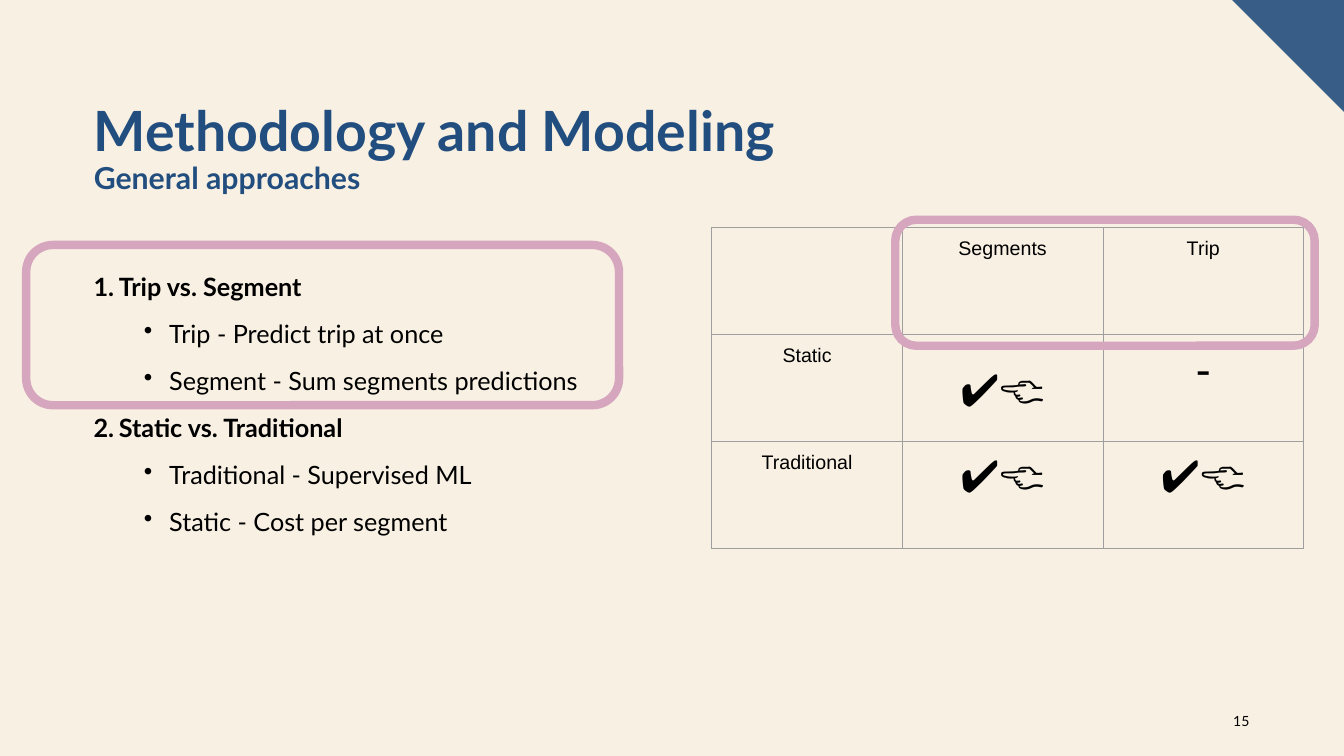
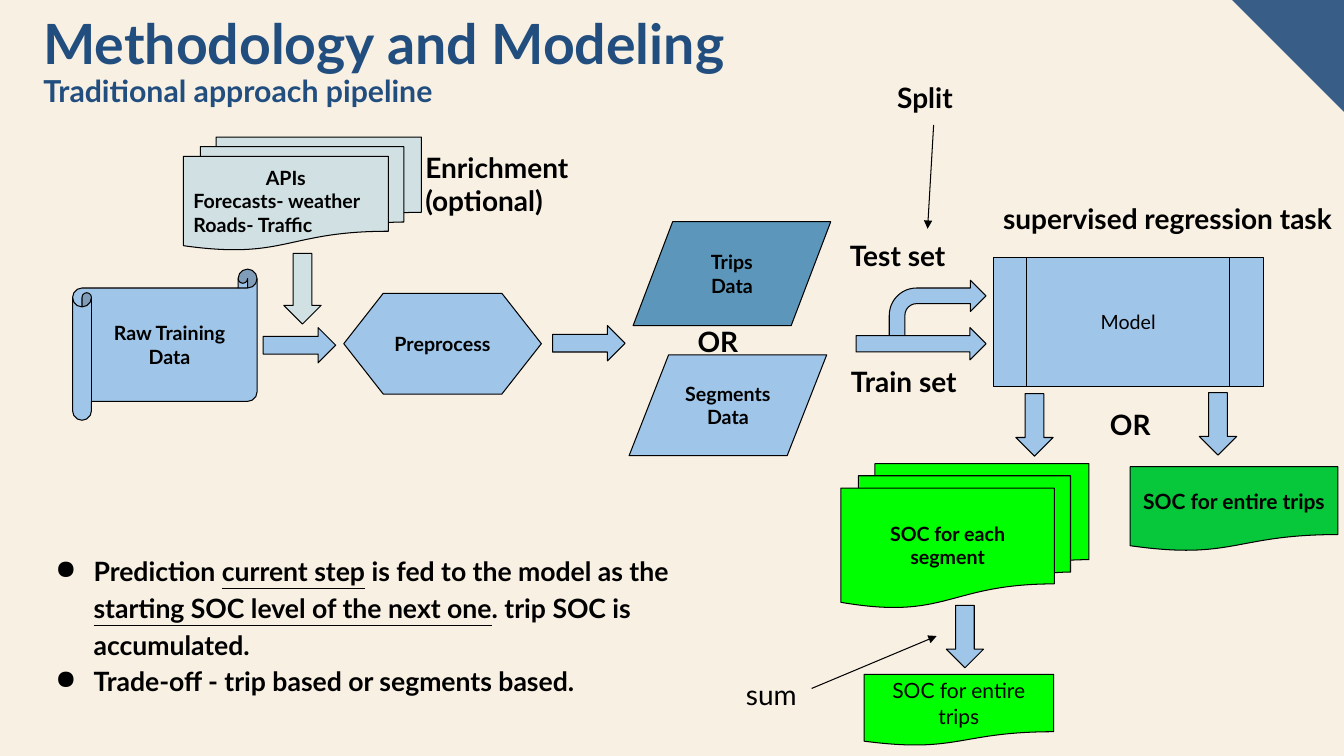
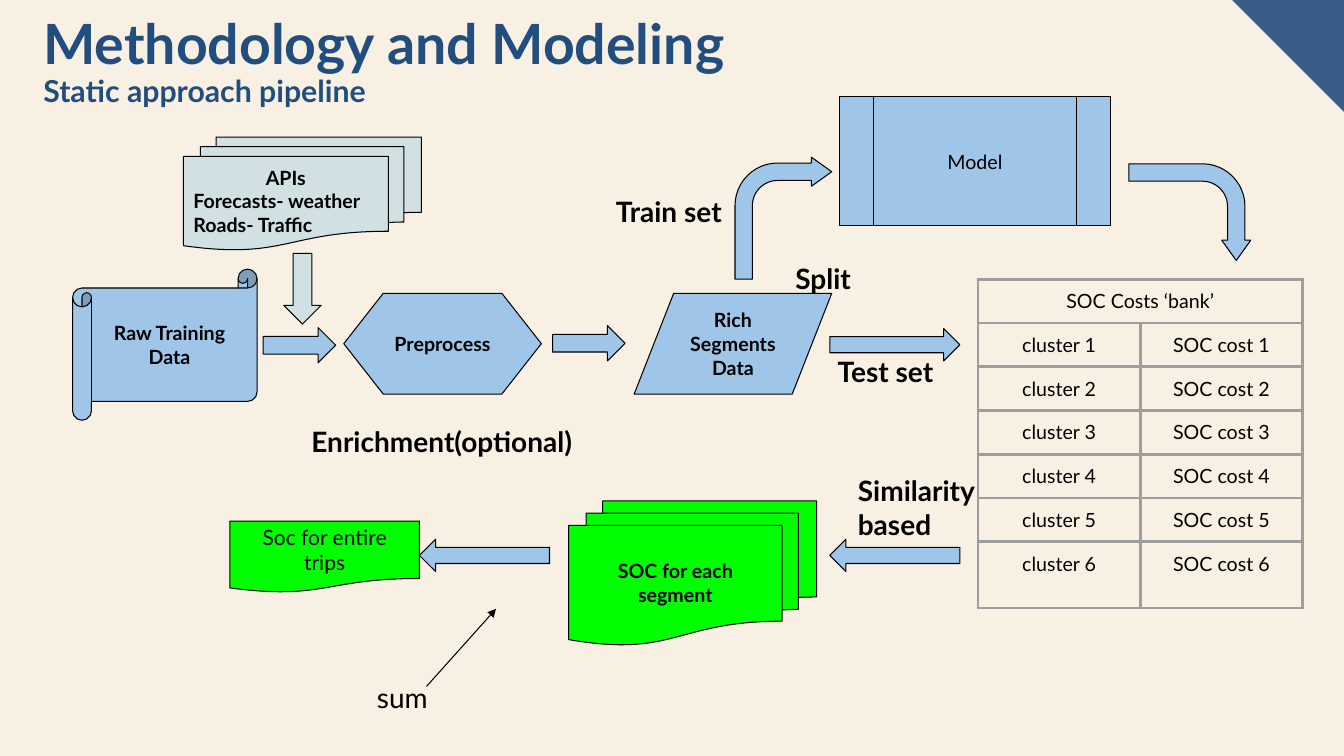
from dataclasses import dataclass
from typing import Any

from lxml import etree
from pptx import Presentation, util as u
from pptx.dml.color import RGBColor
from pptx.enum import shapes, text
from pptx.oxml import ns

PX = 9144
SLIDE_W, SLIDE_H = 1333, 750
COLORS = {
    "paper": "F8F0E3", "corner": "385E88", "title": "224E7F", "ink": "000000",
    "blue": "9FC5E8", "trips": "5C97BB", "api": "D0E0E3", "segment": "00FF00",
    "trip": "06C83A", "ring": "D5A6BD", "grid": "9E9E9E",
}
KIND = shapes.MSO_SHAPE
ALIGN = text.PP_ALIGN
ANCHOR = text.MSO_ANCHOR


def px(*lengths):
    """Turn px lengths into EMU."""
    return [u.Emu(n * PX) for n in lengths]


def rgb(name):
    """Look up a palette colour."""
    return RGBColor.from_string(COLORS[name])


def set_margins(holder, left=10, top=10, right=10, bottom=10):
    """Set the inner margins of a text frame or cell."""
    (holder.margin_left, holder.margin_top,
     holder.margin_right, holder.margin_bottom) = px(left, top, right, bottom)


def add_bullet(p, bullet, left, hang):
    """Give a paragraph a bullet character, or a number for '1.'."""
    pPr = p._p.get_or_add_pPr()
    pPr.set("marL", str(left * PX))
    pPr.set("indent", str(-hang * PX))
    if bullet == "1.":
        etree.SubElement(pPr, ns.qn("a:buAutoNum"), type="arabicPeriod")
    else:
        etree.SubElement(pPr, ns.qn("a:buChar"), char=bullet)


def write(tf, content, size=20, bold=True, color="ink", font="Lato", align=ALIGN.LEFT,
          spacing=None, before=0, bullet=None, left=0, hang=25, level=0):
    """Append paragraphs to a frame; parts between bars are underlined."""
    for line in content.split("\n"):
        first = not tf.paragraphs[0].runs
        p = tf.paragraphs[0] if first else tf.add_paragraph()
        p.level = level
        p.alignment = align
        p.space_before = u.Pt(0 if first else before)
        if spacing:
            p.line_spacing = spacing
        if bullet:
            add_bullet(p, bullet, left, hang)
        for i, part in enumerate(line.split("|")):
            r = p.add_run()
            r.text = part
            r.font.size, r.font.bold, r.font.name = u.Pt(size), bold, font
            r.font.color.rgb = rgb(color)
            if i % 2:
                r.font.underline = True


@dataclass
class Region:
    """An area of a slide whose parts are placed from its top left corner."""
    s: Any
    x: int
    y: int

    def shape(self, kind, l, t, w, h, fill="blue", line="ink", weight=0.75,
              turn=0, adjust=(), label="", size=14, bold=True):
        """Add a preset shape with an optional centred label."""
        sp = self.s.shapes.add_shape(kind, *px(self.x + l, self.y + t, w, h))
        sp.shadow.inherit = False
        sp.rotation = turn
        for i, value in enumerate(adjust):
            sp.adjustments[i] = value
        if fill:
            sp.fill.solid()
            sp.fill.fore_color.rgb = rgb(fill)
        else:
            sp.fill.background()
        if line:
            sp.line.color.rgb = rgb(line)
            sp.line.width = u.Pt(weight)
        else:
            sp.line.fill.background()
        if label:
            set_margins(sp.text_frame)
            write(sp.text_frame, label, size=size, bold=bold, align=ALIGN.CENTER)
        return sp

    def arrow(self, l, t, w, h, turn=0, fill="blue"):
        """Add a block arrow that points right before it is turned."""
        return self.shape(KIND.RIGHT_ARROW, l, t, w, h, turn=turn, fill=fill)

    def label(self, content, l, t, w, h, **fmt):
        """Add a text box."""
        tf = self.s.shapes.add_textbox(*px(self.x + l, self.y + t, w, h)).text_frame
        tf.word_wrap = True
        set_margins(tf)
        if content:
            write(tf, content, **fmt)
        return tf

    def pointer(self, x1, y1, x2, y2):
        """Add a thin line with an arrowhead at its end."""
        ends = px(self.x + x1, self.y + y1, self.x + x2, self.y + y2)
        c = self.s.shapes.add_connector(shapes.MSO_CONNECTOR.STRAIGHT, *ends)
        c.line.color.rgb = rgb("ink")
        c.line.width = u.Pt(0.75)
        etree.SubElement(c.line._get_or_add_ln(), ns.qn("a:tailEnd"), type="triangle")
        etree.SubElement(c.element.spPr, ns.qn("a:effectLst"))

    def table(self, l, t, cols, rows, weight):
        """Add a plain grid with even borders."""
        frame = self.s.shapes.add_table(
            len(rows), len(cols), *px(self.x + l, self.y + t, sum(cols), sum(rows)))
        tbl = frame.table
        tbl.first_row = tbl.horz_banding = False
        for col, w in zip(tbl.columns, px(*cols)):
            col.width = w
        for row, h in zip(tbl.rows, px(*rows)):
            row.height = h
        for cell in tbl.iter_cells():
            set_margins(cell)
            cell.fill.background()
            tcPr = cell._tc.get_or_add_tcPr()
            for i, side in enumerate("LRTB"):
                ln = etree.Element(ns.qn("a:ln" + side), w=str(u.Pt(weight)))
                paint = etree.SubElement(ln, ns.qn("a:solidFill"))
                etree.SubElement(paint, ns.qn("a:srgbClr"), val=COLORS["grid"])
                tcPr.insert(i, ln)
        return tbl


def add_slide(prs, subtitle, l, t, w):
    """Add a slide with the two-line title."""
    s = prs.slides.add_slide(prs.slide_layouts[5])
    title = s.shapes.title
    title.left, title.top, title.width, title.height = px(l, t, w, 145)
    tf = title.text_frame
    tf.word_wrap = True
    tf.auto_size = text.MSO_AUTO_SIZE.NONE
    tf.vertical_anchor = ANCHOR.TOP
    set_margins(tf, 10, 5, 10, 5)
    write(tf, "Methodology and Modeling", size=39.6, color="title", spacing=0.9)
    write(tf, subtitle, size=21.6, color="title", spacing=0.9)
    return s


def dress_layout(prs, s):
    """Set the shared background and move the corner to the layout."""
    fill = prs.slide_master.background.fill
    fill.solid()
    fill.fore_color.rgb = rgb("paper")
    corner = Region(s, SLIDE_W - 111, 0).shape(
        KIND.RIGHT_TRIANGLE, 0, 0, 111, 111, fill="corner", line=None, turn=180)
    s.slide_layout.shapes.element.append(corner.element)


def approaches(s, x, y):
    """List the approaches and ring the first."""
    area = Region(s, x, y)
    tf = area.label("", 57, 21, 647, 409)
    set_margins(tf, 10, 5, 10, 5)
    topics = {
        "Trip vs. Segment": "Trip - Predict trip at once\nSegment - Sum segments predictions",
        "Static vs. Traditional": "Traditional - Supervised ML\nStatic - Cost per segment",
    }
    for topic, details in topics.items():
        write(tf, topic, size=18, before=12, bullet="1.", left=25)
        write(tf, details, size=18, bold=False, before=12, bullet="•", left=75, level=1)
    area.shape(KIND.ROUNDED_RECTANGLE, 0, 0, 588, 159, fill=None, line="ring", weight=6)


def coverage(s, x, y):
    """Tabulate which approach covers which unit and ring the header."""
    area = Region(s, x, y)
    tbl = area.table(0, 0, [189, 199, 199], [106] * 3, 0.75)
    grid = [["", "Segments", "Trip"], ["Static", "✔👈", "-"], ["Traditional", "✔👈", "✔👈"]]
    for i, row in enumerate(grid):
        for j, content in enumerate(row):
            if content:
                size = 32 if i and j else 14
                write(tbl.cell(i, j).text_frame, content, size=size, bold=False,
                      font="Arial", align=ALIGN.CENTER)
    tbl.cell(1, 1).margin_top = px(31)[0]
    area.shape(KIND.ROUNDED_RECTANGLE, 182, -8, 416, 125, fill=None, line="ring", weight=6)


def data_source(s, x, y):
    """Draw the raw data, its enrichment and the preprocessing."""
    area = Region(s, x, y)
    area.shape(KIND.HORIZONTAL_SCROLL, 0, 131, 183, 150, label="Raw Training Data")
    area.arrow(189, 189, 72, 35)
    area.shape(KIND.FLOWCHART_PREPARATION, 269, 155, 196, 100, label="Preprocess")
    area.arrow(476, 187, 72, 35)
    area.arrow(193, 132, 70, 37, turn=90, fill="api")
    apis = area.shape(KIND.FLOWCHART_MULTIDOCUMENT, 110, 0, 236, 112, fill="api", label="APIs")
    write(apis.text_frame, "Forecasts- weather\nRoads- Traffic", size=14)


def model(area, l, t):
    """Draw the model block."""
    area.shape(KIND.FLOWCHART_PREDEFINED_PROCESS, l, t, 268, 128, label="Model", bold=False)


def segment_soc(area, l, t):
    """Draw the stack of results for single segments."""
    area.shape(KIND.FLOWCHART_MULTIDOCUMENT, l, t, 246, 143, fill="segment",
               label="SOC for each segment")


def summed_soc(area, l, t, label):
    """Draw the summed result."""
    area.shape(KIND.FLOWCHART_DOCUMENT, l, t, 188, 71, fill="segment",
               label=label, size=15, bold=False)


def data_choice(s, x, y):
    """Draw the choice of trips or segments data."""
    area = Region(s, x, y)
    area.shape(KIND.FLOWCHART_DATA, 0, 132, 196, 100, label="Segments\nData")
    area.shape(KIND.FLOWCHART_DATA, 4, 0, 196, 103, fill="trips", label="Trips\nData")
    area.label("OR", 58, 92, 100, 58)


def training(s, x, y):
    """Draw the split into sets that feed the model."""
    area = Region(s, x, y)
    model(area, 152, 185)
    area.shape(KIND.BENT_ARROW, 49, 208, 96, 62)
    area.arrow(16, 255, 129, 32)
    area.label("Split", 47, 0, 285, 58)
    area.pointer(93, 54, 87, 157)
    area.label("Test set", 0, 157, 175, 54)
    area.label("Train set", 1, 282, 150, 54)
    area.label("supervised regression task", 152, 120, 348, 54)


def predictions(s, x, y):
    """Draw both ways from the model to the result for trips."""
    area = Region(s, x, y)
    for l, t in [(265, 9), (196, 219), (447, 8)]:
        area.arrow(l, t, 62, 37, turn=90)
    segment_soc(area, 104, 66)
    summed_soc(area, 127, 275, "SOC for entire trips")
    area.label("sum", 0, 268, 103, 55, bold=False)
    area.pointer(75, 289, 199, 237)
    area.shape(KIND.FLOWCHART_DOCUMENT, 391, 69, 206, 84, fill="trip",
               label="SOC for entire trips", size=15)
    area.label("OR", 361, 0, 100, 58)


def split_to_model(s, x, y):
    """Draw the rich data split between model and cost bank."""
    area = Region(s, x, y)
    model(area, 232, 0)
    bend = (0.18, 0.15, 0.21, 0.44)
    area.shape(KIND.BENT_ARROW, 128, 60, 96, 121, adjust=bend)
    area.shape(KIND.BENT_ARROW, 531, 54, 96, 121, adjust=bend, turn=90)
    area.arrow(222, 230, 129, 32)
    area.label("Split", 178, 153, 87, 52)
    area.label("Test set", 220, 246, 175, 54)
    area.label("Train set", 0, 87, 150, 54)
    area.shape(KIND.FLOWCHART_DATA, 28, 195, 196, 100, label="Rich\nSegments\nData")


def cost_bank(s, x, y):
    """Tabulate the cost of each cluster."""
    tbl = Region(s, x, y).table(0, 0, [161, 161], [43] * 6 + [66], 2.25)
    tbl.cell(0, 0).merge(tbl.cell(0, 1))
    cells = {(0, 0): "SOC Costs ‘bank’"}
    for i in range(1, 7):
        cells[i, 0] = f"cluster {i}"
        cells[i, 1] = f"SOC cost {i}"
    for place, content in cells.items():
        write(tbl.cell(*place).text_frame, content, size=14, bold=False, align=ALIGN.CENTER)


def bank_lookup(s, x, y):
    """Draw the way from the bank back to the result for trips."""
    area = Region(s, x, y)
    segment_soc(area, 336, 37)
    summed_soc(area, 0, 57, "Soc for entire trips")
    for l in (188, 595):
        area.arrow(l, 75, 129, 32, turn=180)
    area.label("sum", 136, 205, 103, 55, bold=False)
    area.pointer(195, 221, 264, 144)
    area.label("Similarity\nbased", 613, 0, 175, 88)


def approaches_slide(prs):
    """Build the overview of approaches."""
    s = add_slide(prs, "General approaches", 83, 98, 1167)
    dress_layout(prs, s)
    approaches(s, 26, 243)
    coverage(s, 706, 226)
    number = Region(s, 1199, 695).label("15", 0, 0, 50, 40, size=10, bold=False,
                                        align=ALIGN.RIGHT)
    set_margins(number, 10, 5, 10, 5)
    number.vertical_anchor = ANCHOR.MIDDLE


def traditional_slide(prs):
    """Build the traditional pipeline."""
    s = add_slide(prs, "Traditional approach pipeline", 33, 11, 1167)
    data_source(s, 72, 136)
    Region(s, 412, 139).label("Enrichment\n(optional)", 0, 0, 394, 88)
    data_choice(s, 624, 220)
    training(s, 833, 70)
    predictions(s, 730, 394)
    Region(s, 33, 536).label(
        "Prediction |current step| is fed to the model as the "
        "|starting SOC level of the next one|. trip SOC is accumulated.\n"
        "Trade-off - trip based or segments based.",
        0, 0, 671, 163, size=19, spacing=1.15, bullet="●", left=50, hang=38)


def static_slide(prs):
    """Build the static pipeline."""
    s = add_slide(prs, "Static approach pipeline", 33, 11, 764)
    cost_bank(s, 970, 277)
    data_source(s, 72, 136)
    Region(s, 299, 411).label("Enrichment(optional)", 0, 0, 394, 58)
    split_to_model(s, 601, 96)
    bank_lookup(s, 228, 460)


def main():
    """Build and save the presentation."""
    prs = Presentation()
    prs.slide_width, prs.slide_height = px(SLIDE_W, SLIDE_H)
    approaches_slide(prs)
    traditional_slide(prs)
    static_slide(prs)
    prs.save("out.pptx")


if __name__ == "__main__":
    main()
